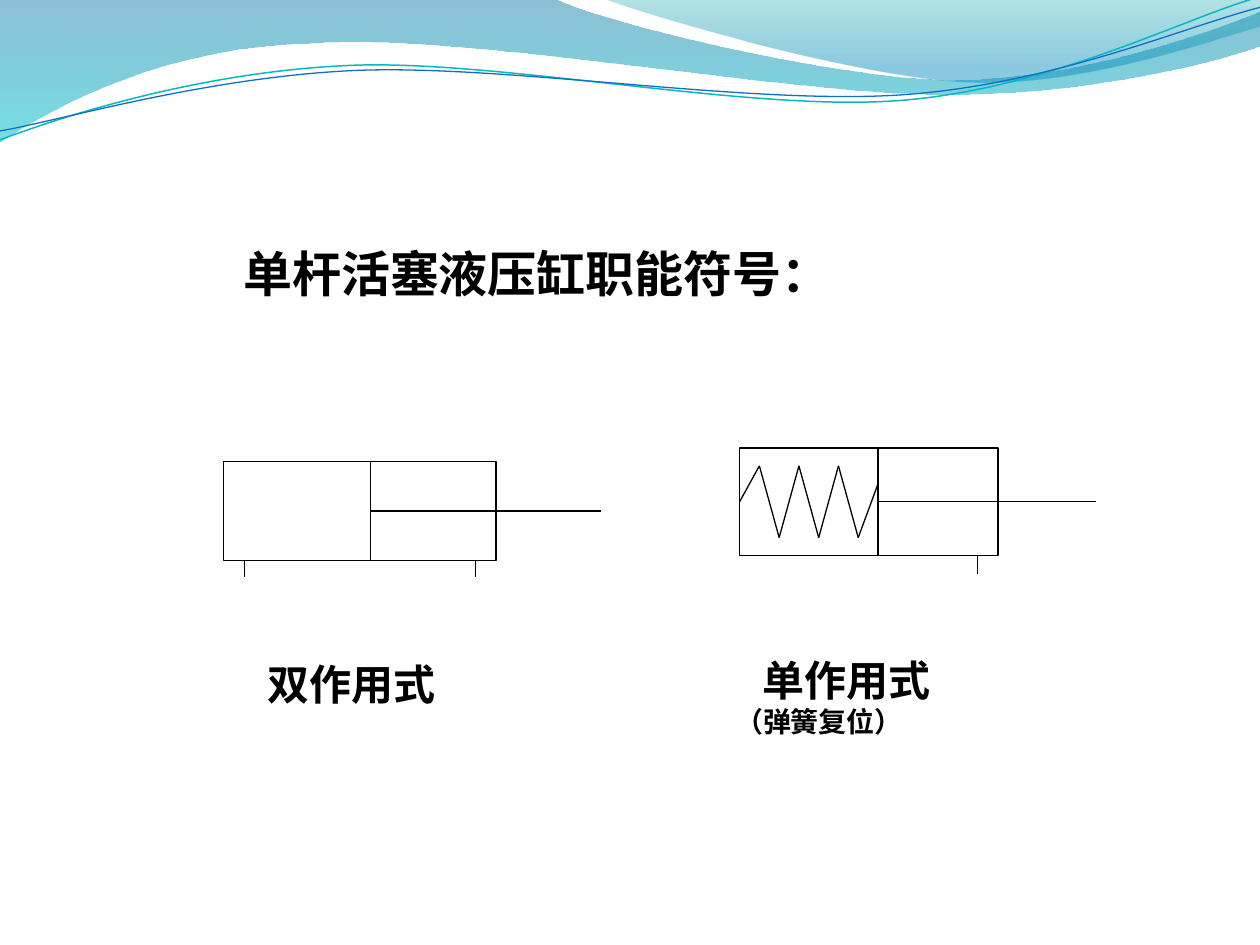
from lxml import etree
from pptx import Presentation
from pptx.dml.color import RGBColor
from pptx.enum.shapes import MSO_CONNECTOR, MSO_SHAPE
from pptx.enum.text import MSO_ANCHOR, PP_ALIGN
from pptx.oxml.ns import qn
from pptx.util import Cm, Pt

LEFT, CENTER, TOP = PP_ALIGN.LEFT, PP_ALIGN.CENTER, MSO_ANCHOR.TOP
STRAIGHT, RECT = MSO_CONNECTOR.STRAIGHT, MSO_SHAPE.RECTANGLE

THEME = {"font": "Noto Sans CJK SC", "ink": "000000", "line": 0.75,
         "title": 28, "label": 24, "note": 16}

# Content; all lengths in cm. Text lines: text, type size, alignment, indent
TITLE = {"box": (4.65, 4.78, 12.55, 1.45),
         "lines": [("单杆活塞液压缸职能符号：", "title", LEFT, 0)]}
LABELS = [
    {"box": (14.07, 13.06, 5.64, 1.96),
     "lines": [("单作用式", "label", CENTER, 0.36),
               ("（弹簧复位）", "note", LEFT, 0.5)]},
    {"box": (5.14, 13.16, 4.24, 1.27),
     "lines": [("双作用式", "label", LEFT, 0)]},
]
CYLINDERS = [
    {"box": (14.91, 9.03, 5.21, 2.17), "piston": 17.7, "rod_end": 22.1,
     "ports": [19.71], "port_len": 0.38,
     "spring": [1 / 2, 1 / 6, 5 / 6, 1 / 6, 5 / 6, 1 / 6, 5 / 6, 1 / 3]},
    {"box": (4.5, 9.3, 5.5, 2), "piston": 7.47, "rod_end": 12.12,
     "ports": [9.58, 4.93], "port_len": 0.33, "spring": []},
]
# Segments: one point is a straight line, three points are a Bezier curve
BANDS = [
    {"start": (0, 0), "stops": [(0, "0074A1", 45), (1, "00C6CF", 55)],
     "segments": [
         [(11.18, -0.03)],
         [(12.09, 0.43), (16.87, 1.6), (19.25, 1.6)],
         [(21.67, 1.6), (24.33, 0.66), (25.4, 0.23)],
         [(25.43, 0.91)],
         [(24.97, 1.12), (22.1, 1.93), (18.95, 1.9)],
         [(15.8, 1.9), (9.7, 0.71), (6.53, 0.86)],
         [(3.28, 0.91), (1.17, 2.11), (-0.03, 2.87)],
         [(0, 0)]]},
    {"start": (12.17, -0.03), "stops": [(0, "00A1A9", 30), (0.8, "008BBF", 45)],
     "segments": [
         [(12.93, 0.28), (17.32, 1.57), (19.53, 1.65)],
         [(21.74, 1.75), (24.41, 0.81), (25.4, 0.53)],
         [(25.4, 0)],
         [(12.17, -0.03)]]},
]
CURVES = [
    {"start": (0, 2.82), "line": ("0AB8BF", 0.85),
     "segments": [
         [(1.22, 2.36), (4.01, 1.45), (7.04, 1.32)],
         [(10.03, 1.19), (15.06, 2.26), (18.11, 2.03)],
         [(21.16, 1.8), (23.83, 0.38), (25.35, -0.05)]]},
    {"start": (0, 2.64), "line": ("0F6FC6", 0.75),
     "segments": [
         [(1.19, 2.44), (4.17, 1.55), (7.19, 1.42)],
         [(10.24, 1.3), (15.16, 2.13), (18.21, 1.91)],
         [(21.23, 1.7), (23.9, 0.53), (25.4, 0.15)]]},
]


def set_line(line, color=THEME["ink"], width=THEME["line"]):
    line.color.rgb = RGBColor.from_string(color)
    line.width = Pt(width)


def add_outline(shapes, outline):
    """Freeform through the segment ends, with its curved segments made Bezier."""
    x, y = map(Cm, outline["start"])
    segments = [[(Cm(px), Cm(py)) for px, py in seg] for seg in outline["segments"]]
    builder = shapes.build_freeform(x, y)
    builder.add_line_segments([seg[-1] for seg in segments], close="stops" in outline)
    sp = builder.convert_to_shape()
    sp.shadow.inherit = False
    left = min([x] + [seg[-1][0] for seg in segments])
    top = min([y] + [seg[-1][1] for seg in segments])
    steps = list(sp._element.spPr.iter(qn("a:lnTo")))
    for step, seg in zip(steps, segments):
        if len(seg) == 3:
            curve = etree.Element(qn("a:cubicBezTo"))
            for px, py in seg:
                pt = etree.SubElement(curve, qn("a:pt"))
                pt.set("x", str(px - left))
                pt.set("y", str(py - top))
            step.getparent().replace(step, curve)
    return sp


def add_band(shapes, band):
    sp = add_outline(shapes, band)
    sp.line.fill.background()
    sp.fill.gradient()
    sp.fill.gradient_angle = 270
    for stop, (position, color, _) in zip(sp.fill.gradient_stops, band["stops"]):
        stop.position = position
        stop.color.rgb = RGBColor.from_string(color)
    for clr, (_, _, opacity) in zip(sp._element.spPr.iter(qn("a:srgbClr")), band["stops"]):
        etree.SubElement(clr, qn("a:alpha")).set("val", str(opacity * 1000))


def add_curve(shapes, curve):
    sp = add_outline(shapes, curve)
    sp.fill.background()
    set_line(sp.line, *curve["line"])


def add_line(shapes, x1, y1, x2, y2):
    cxn = shapes.add_connector(STRAIGHT, Cm(x1), Cm(y1), Cm(x2), Cm(y2))
    set_line(cxn.line)
    etree.SubElement(cxn._element.spPr, qn("a:effectLst"))


def add_cylinder(shapes, cyl):
    x, y, w, h = cyl["box"]
    piston, bottom, middle = cyl["piston"], y + h, y + h / 2
    body = shapes.add_shape(RECT, *map(Cm, cyl["box"]))
    body.shadow.inherit = False
    body.fill.background()
    set_line(body.line)
    add_line(shapes, piston, y, piston, bottom)
    add_line(shapes, piston, middle, cyl["rod_end"], middle)
    # Spring corners are evenly spaced between the end wall and the piston
    spring = cyl["spring"]
    corners = [(x + (piston - x) * i / (len(spring) - 1), y + h * f)
               for i, f in enumerate(spring)]
    for start, end in zip(corners, corners[1:]):
        add_line(shapes, *start, *end)
    for port in cyl["ports"]:
        add_line(shapes, port, bottom, port, bottom + cyl["port_len"])


def fill_text(sp, content, wrap=True):
    sp.left, sp.top, sp.width, sp.height = map(Cm, content["box"])
    tf = sp.text_frame
    tf.word_wrap, tf.vertical_anchor = wrap, TOP
    for i, (text, size, align, indent) in enumerate(content["lines"]):
        p = tf.add_paragraph() if i else tf.paragraphs[0]
        p.alignment = align
        if indent:
            p._p.get_or_add_pPr().set("marL", str(Cm(indent)))
        r = p.add_run()
        r.text = text
        style = {"name": THEME["font"], "size": Pt(THEME[size]), "bold": True}
        for name, value in style.items():
            setattr(r.font, name, value)
        r.font.color.rgb = RGBColor.from_string(THEME["ink"])
        etree.SubElement(r._r.rPr, qn("a:ea")).set("typeface", THEME["font"])


def main():
    prs = Presentation()
    prs.slide_width, prs.slide_height = Cm(25.4), Cm(19.05)
    s = prs.slides.add_slide(prs.slide_layouts[5])

    # Wave bands and curves along the top
    for band in BANDS:
        add_band(s.shapes, band)
    curves = s.shapes.add_group_shape()
    for curve in CURVES:
        add_curve(curves.shapes, curve)

    # Title and labels
    for label in LABELS:
        fill_text(s.shapes.add_textbox(*map(Cm, label["box"])), label)
    fill_text(s.shapes.title, TITLE, wrap=False)

    # Cylinder symbols
    for cyl in CYLINDERS:
        add_cylinder(s.shapes.add_group_shape().shapes, cyl)

    prs.save("out.pptx")


if __name__ == "__main__":
    main()
